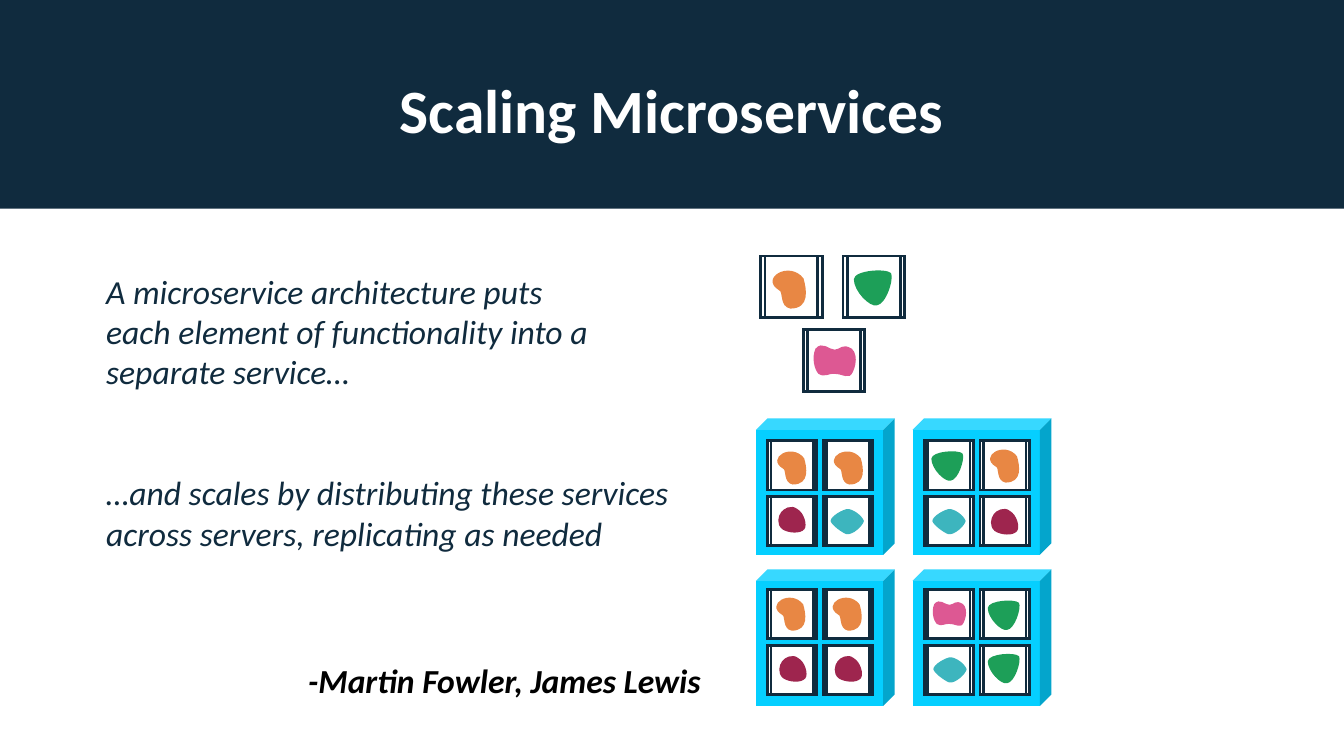
import lxml.etree
import pptx
import pptx.util
import pptx.dml.color
import pptx.enum.shapes
import pptx.enum.text
import pptx.oxml.ns

Pt = pptx.util.Pt
Shape = pptx.enum.shapes.MSO_SHAPE
Align = pptx.enum.text.PP_ALIGN
Anchor = pptx.enum.text.MSO_ANCHOR
qn = pptx.oxml.ns.qn

THEME = {
    "font": "Calibri", "navy": "102B3E", "white": "FFFFFF", "black": "000000",
    "cyan": "05CFFF", "orange": "E88744", "green": "1D9F58", "pink": "DD5893",
    "wine": "9E254E", "teal": "3DB5BE", "title": 44, "body": 24,
}

TITLE = ["Scaling Microservices"]
QUOTE = [
    "A microservice architecture puts",
    "each element of functionality into a",
    "separate service…",
    "…and scales by distributing these services",
    "across servers, replicating as needed",
]
CREDIT = ["-Martin Fowler, James Lewis"]

BLOBS = {
    "orange": [
        (-14.4, -8.6), (7.2, -21.6), (17.3, -8.6),
        (19.4, -1.4), (22.3, 13), (7.9, 13),
        (0, 11.5), (2.9, 0.7), (0, 0),
    ],
    "green": [
        (2.2, 4.3), (-3.6, 22.3), (-10.1, 23),
        (-15.1, 24.5), (-26.6, 13), (-26.6, 4.3),
        (-25.9, -2.2), (-3.6, -3.6), (0, 0),
    ],
    "pink": [
        (-3.6, -0.7), (-7.2, 2.9), (-11.5, 0),
        (-14.4, -2.9), (-16.6, -11.5), (-13.7, -18),
        (-8.6, -23.8), (-4.3, -17.3), (0, -17.3),
        (4.3, -17.3), (5, -22.3), (12.2, -18),
        (18, -13), (13.7, 0), (10.8, 1.4),
        (5.8, 2.2), (5, 0), (0, 0),
    ],
    "wine": [
        (1.4, -2.2), (7.2, -5.8), (11.5, -2.2),
        (16.6, 0.7), (18.7, 9.4), (16.6, 12.2),
        (13.7, 15.8), (5, 15.1), (0.7, 12.2),
        (-3.6, 8.6), (-2.2, 2.9), (0, 0),
    ],
    "teal": [
        (0, -3.6), (9.4, -8.6), (12.2, -8.6),
        (15.8, -8.6), (22.3, -4.3), (23.8, 0),
        (23, 3.6), (15.8, 10.1), (11.5, 9.4),
        (8.6, 8.6), (0.7, 2.9), (0, 0),
    ],
}
SHRINK = {"orange": 0.87, "green": 0.84, "pink": 0.79, "wine": 1, "teal": 1}

SINGLE = [
    ("orange", (543.3, 182.9), (556.6, 207.4)),
    ("green", (602.2, 182.9), (636.5, 195.1)),
    ("pink", (573.8, 235.6), (596.2, 267.1)),
]
SERVER = [
    [("orange", 559.4, 334.8), ("orange", 599.8, 334.8),
     ("wine", 558, 365.8), ("teal", 593.3, 372.2)],
    [("green", 687.6, 324), ("orange", 711.4, 333.4),
     ("teal", 666, 372.2), ("wine", 709.9, 367.2)],
    [("orange", 558.7, 439.2), ("orange", 599, 439.2),
     ("wine", 558.7, 472.3), ("wine", 598.3, 472.3)],
    [("pink", 678.2, 445.7), ("green", 727.9, 430.6),
     ("teal", 666.7, 478.1), ("green", 727.9, 468.7)],
]
LEFT, TOP, WIDE, HIGH = 540, 298.8, 99, 97.6
STEP_X, STEP_Y = 111.9, 107.9
PANE, PITCH, INSET = 35.3, 39.9, 8.2
DROP = [15.9, 14.4]
BIG = 44


def color(name):
    return pptx.dml.color.RGBColor.from_string(THEME[name])


def paint(shape, fill, line=None):
    shape.shadow.inherit = False
    shape.fill.solid()
    shape.fill.fore_color.rgb = color(fill)
    if line:
        shape.line.color.rgb = color(line)
        shape.line.width = Pt(2)
        edge = shape._element.spPr.find(qn("a:ln"))
        lxml.etree.SubElement(edge, qn("a:miter"), lim="800000")
    else:
        shape.line.fill.background()


def block(kind, x, y, w, h, fill, line=None):
    shape = slide.shapes.add_shape(kind, Pt(x), Pt(y), Pt(w), Pt(h))
    paint(shape, fill, line)
    return shape


def frame(x, y, size):
    block(Shape.RECTANGLE, x, y, size, size, "white", "navy")
    block(Shape.RECTANGLE, x + 0.07 * size, y, 0.86 * size, size, "white", "navy")


def blob(name, x, y, scale=1):
    dots = [(Pt(x + scale * dx), Pt(y + scale * dy)) for dx, dy in BLOBS[name]]
    draft = slide.shapes.build_freeform(Pt(x), Pt(y))
    draft.add_line_segments(dots, close=True)
    shape = draft.convert_to_shape()
    paint(shape, name)
    sides = list(shape._element.iter(qn("a:lnTo")))
    for first in range(0, len(sides), 3):
        curve = lxml.etree.Element(qn("a:cubicBezTo"))
        sides[first].addprevious(curve)
        for side in sides[first:first + 3]:
            curve.append(side[0])
            side.getparent().remove(side)


def words(lines, x, y, w, h, size, tint, bold=False, slant=False):
    body = slide.shapes.add_textbox(Pt(x), Pt(y), Pt(w), Pt(h)).text_frame
    body.word_wrap = True
    body.text = "\n".join(lines)
    for para in body.paragraphs:
        for run in para.runs:
            font = run.font
            font.name, font.size = THEME["font"], Pt(THEME[size])
            font.bold, font.italic = bold, slant
            font.color.rgb = color(tint)
    return body


deck = pptx.Presentation()
deck.slide_width, deck.slide_height = Pt(960), Pt(540)
slide = deck.slides.add_slide(deck.slide_layouts[6])

block(Shape.RECTANGLE, 0, 0, 960, 149, "navy")
head = words(TITLE, 66, 28.8, 828, 104.4, "title", "white", bold=True)
head.vertical_anchor = Anchor.MIDDLE
head.paragraphs[0].alignment = Align.CENTER
head.paragraphs[0].line_spacing = 0.9

quote = words(QUOTE, 68.7, 189.8, 422, 211, "body", "navy", slant=True)
quote.paragraphs[3].space_before = Pt(57.6)
words(CREDIT, 213, 468, 301, 36, "body", "black", bold=True, slant=True)

for name, spot, start in SINGLE:
    frame(*spot, BIG)
    blob(name, *start)

for index, panes in enumerate(SERVER):
    row, col = divmod(index, 2)
    x, y = LEFT + col * STEP_X, TOP + row * STEP_Y
    cube = block(Shape.CUBE, x, y, WIDE, HIGH, "cyan")
    cube.adjustments[0] = 0.084
    for place, (name, *start) in enumerate(panes):
        down, across = divmod(place, 2)
        frame(x + INSET + across * PITCH, y + DROP[row] + down * PITCH, PANE)
        blob(name, *start, SHRINK[name])

deck.save("out.pptx")
